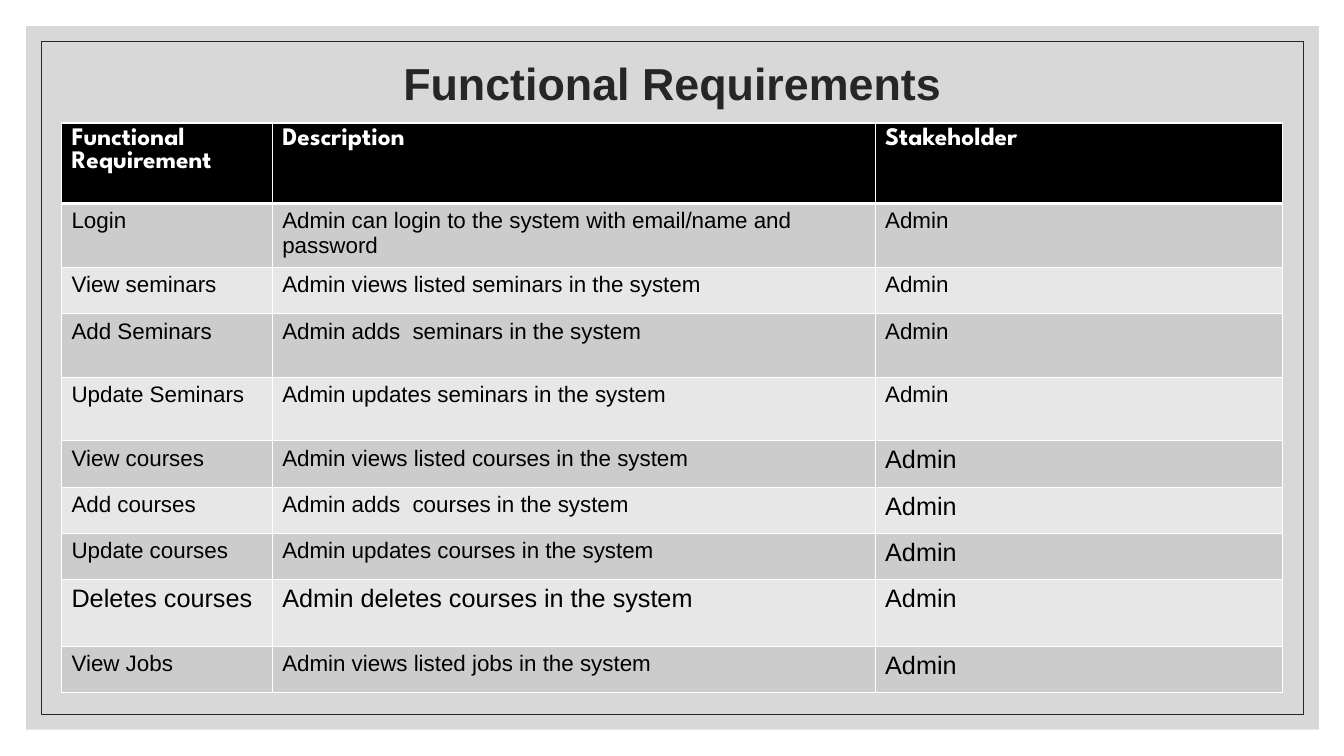
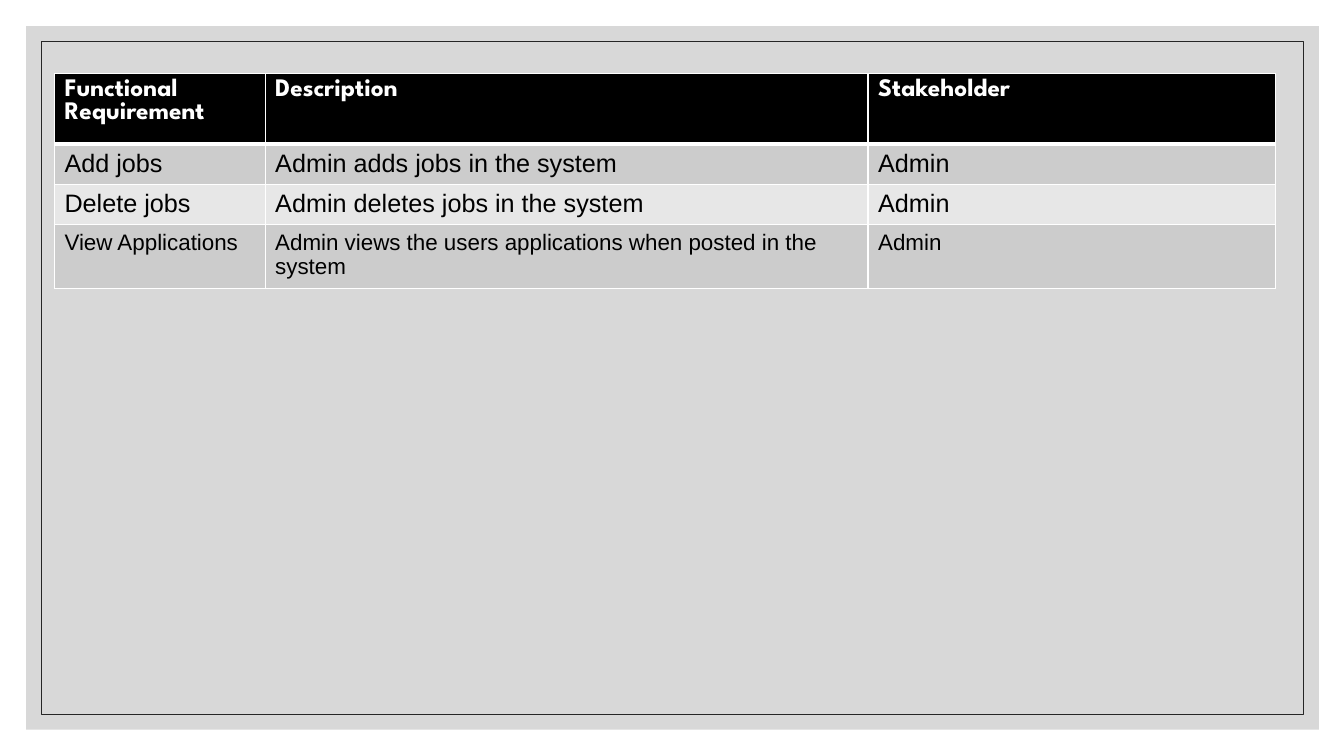
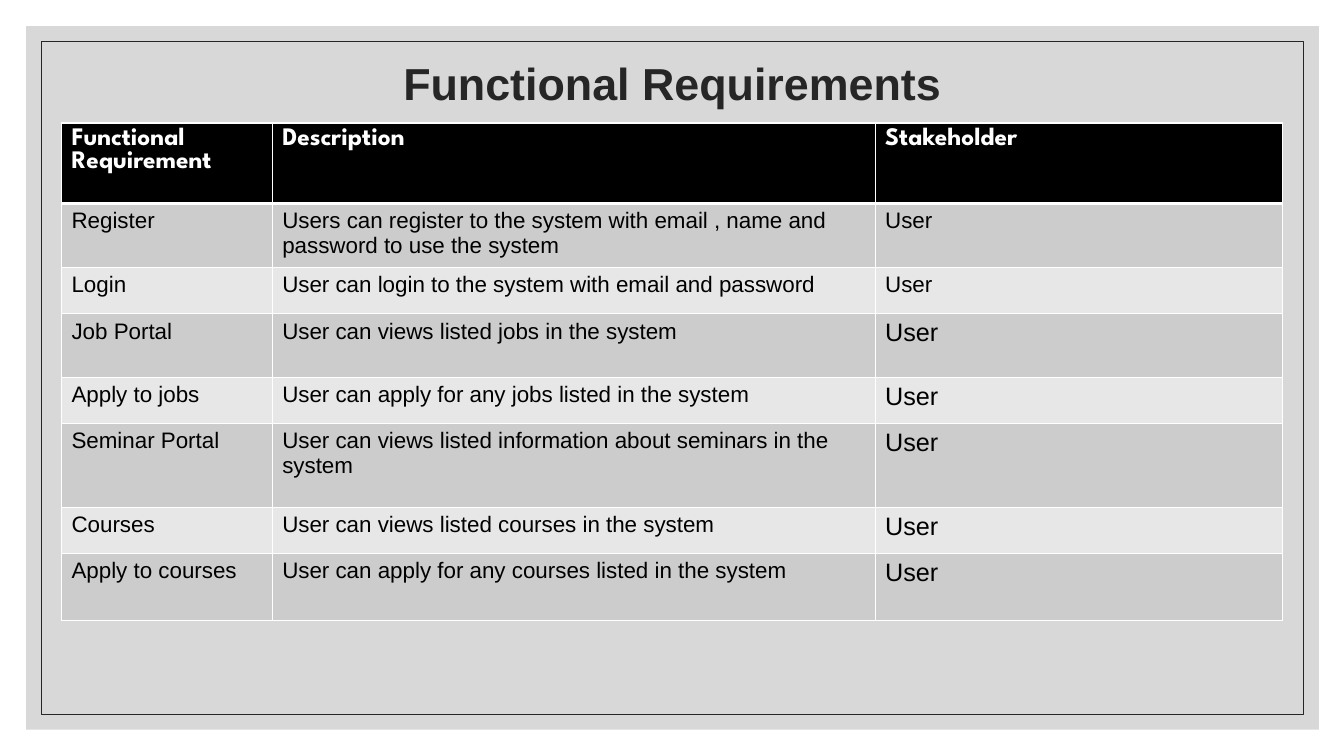
from dataclasses import dataclass

from lxml.etree import SubElement
from pptx import Presentation
from pptx.dml.color import RGBColor
from pptx.enum.shapes import MSO_SHAPE as SHAPE
from pptx.enum.text import MSO_ANCHOR as ANCHOR, PP_ALIGN as ALIGN
from pptx.oxml import parse_xml
from pptx.oxml.ns import nsdecls, qn
from pptx.util import Inches, Pt


@dataclass(frozen=True)
class Theme:
    panel: str = "BFBFBF"
    panel_alpha: int = 60
    ink: str = "262626"
    header: str = "000000"
    bands: tuple = ("CCCCCC", "E7E7E7")
    body: str = "000000"
    white: str = "FFFFFF"
    body_font: str = "Arial"
    header_font: str = "League Spartan"
    title_size: int = 32
    large: int = 18
    small: int = 16
    border: int = 1
    header_border: int = 3


T = Theme()
TITLE = "Functional Requirements"
TITLE_BOX = (1.17, 0.1, 11, 1.5)
HEADINGS = ("Functional Requirement", "Description", "Stakeholder")
COLUMNS = (2.09, 5.98, 4.04)

# Each row: height, requirement, description, text size, stakeholder size
ADMIN_ROWS = [
    (0.63, "Login", "Admin can login to the system with email/name and password", T.small, T.small),
    (0.46, "View seminars", "Admin views listed seminars in the system", T.small, T.small),
    (0.63, "Add Seminars", "Admin adds  seminars in the system", T.small, T.small),
    (0.63, "Update Seminars", "Admin updates seminars in the system", T.small, T.small),
    (0.46, "View courses", "Admin views listed courses in the system", T.small, T.large),
    (0.46, "Add courses", "Admin adds  courses in the system", T.small, T.large),
    (0.46, "Update courses", "Admin updates courses in the system", T.small, T.large),
    (0.66, "Deletes courses", "Admin deletes courses in the system", T.large, T.large),
    (0.46, "View Jobs", "Admin views listed jobs in the system", T.small, T.large),
]
ADMIN_MORE_ROWS = [
    (0.38, "Add jobs", "Admin adds jobs in the system", T.large, T.large),
    (0.38, "Delete jobs", "Admin deletes jobs in the system", T.large, T.large),
    (0.6, "View Applications", "Admin views the users applications when posted in the system",
     T.small, T.small),
]
USER_ROWS = [
    (0.63, "Register",
     "Users can register to the system with email , name and password to use the system",
     T.small, T.small),
    (0.46, "Login", "User can login to the system with email and password", T.small, T.small),
    (0.63, "Job Portal", "User can views listed jobs in the system", T.small, T.large),
    (0.46, "Apply to jobs", "User can apply for any jobs listed in the system", T.small, T.large),
    (0.83, "Seminar Portal", "User can views listed information about seminars in the system",
     T.small, T.large),
    (0.46, "Courses", "User can views listed courses in the system", T.small, T.large),
    (0.66, "Apply to courses", "User can apply for any courses listed in the system",
     T.small, T.large),
]


def rgb(color):
    return RGBColor.from_string(color)


def write(tf, text, *, size, color, font=T.body_font, bold=False, align=None, spacing=None):
    tf.word_wrap = True
    p = tf.paragraphs[0]
    p.alignment = align
    p.line_spacing = spacing
    r = p.add_run()
    r.text = text
    r.font.size = Pt(size)
    r.font.name = font
    r.font.bold = bold
    r.font.color.rgb = rgb(color)


def add_rect(s, box):
    sp = s.shapes.add_shape(SHAPE.RECTANGLE, *map(Inches, box))
    sp.shadow.inherit = False
    return sp


def add_frame(s):
    """Translucent panel with a thin outline inside it."""
    panel = add_rect(s, (0.26, 0.26, 12.82, 6.98))
    panel.fill.solid()
    panel.fill.fore_color.rgb = rgb(T.panel)
    panel.line.fill.background()
    color = panel.fill._xPr.find(qn("a:solidFill"))[0]
    SubElement(color, qn("a:alpha"), val=str(T.panel_alpha * 1000))

    outline = add_rect(s, (0.41, 0.41, 12.52, 6.68))
    outline.fill.background()
    outline.line.color.rgb = rgb(T.ink)
    outline.line.width = Pt(0.5)


def add_title(s, text, box):
    tf = s.shapes.add_textbox(*map(Inches, box)).text_frame
    tf.vertical_anchor = ANCHOR.MIDDLE
    write(tf, text, size=T.title_size, color=T.ink, bold=True, align=ALIGN.CENTER, spacing=0.9)


def set_borders(cell, **widths):
    tcPr = cell._tc.get_or_add_tcPr()
    for i, side in enumerate("LRTB"):
        width = Pt(widths.get(side, T.border))
        tcPr.insert(i, parse_xml(
            f'<a:ln{side} {nsdecls("a")} w="{width}"><a:solidFill>'
            f'<a:srgbClr val="{T.white}"/></a:solidFill></a:ln{side}>'))


def fill_cell(cell, text, fill, borders, **style):
    cell.fill.solid()
    cell.fill.fore_color.rgb = rgb(fill)
    set_borders(cell, **borders)
    write(cell.text_frame, text, **style)


def add_requirements(s, left, top, header_height, rows, stakeholder):
    heights = [header_height] + [row[0] for row in rows]
    box = (left, top, sum(COLUMNS), sum(heights))
    table = s.shapes.add_table(len(heights), len(COLUMNS), *map(Inches, box)).table
    table.horz_banding = False
    for column, width in zip(table.columns, COLUMNS):
        column.width = Inches(width)
    for row, height in zip(table.rows, heights):
        row.height = Inches(height)

    for c, heading in enumerate(HEADINGS):
        fill_cell(table.cell(0, c), heading, T.header, {"B": T.header_border},
                  size=T.large, color=T.white, font=T.header_font, bold=True)
    for i, (_, requirement, description, size, stakeholder_size) in enumerate(rows):
        borders = {"T": T.header_border} if i == 0 else {}
        texts = (requirement, description, stakeholder)
        sizes = (size, size, stakeholder_size)
        for c, (text, text_size) in enumerate(zip(texts, sizes)):
            fill_cell(table.cell(i + 1, c), text, T.bands[i % 2], borders,
                      size=text_size, color=T.body)


def add_requirements_slide(prs, rows, stakeholder, *, title=None, left=0.61, top=1.22,
                           header_height=0.8):
    s = prs.slides.add_slide(prs.slide_layouts[6])
    add_frame(s)
    if title:
        add_title(s, title, TITLE_BOX)
    add_requirements(s, left, top, header_height, rows, stakeholder)


def main():
    prs = Presentation()
    prs.slide_width, prs.slide_height = Inches(13.33), Inches(7.5)
    add_requirements_slide(prs, ADMIN_ROWS, "Admin", title=TITLE)
    add_requirements_slide(prs, ADMIN_MORE_ROWS, "Admin", left=0.54, top=0.73, header_height=0.56)
    add_requirements_slide(prs, USER_ROWS, "User", title=TITLE)
    prs.save("out.pptx")


if __name__ == "__main__":
    main()
